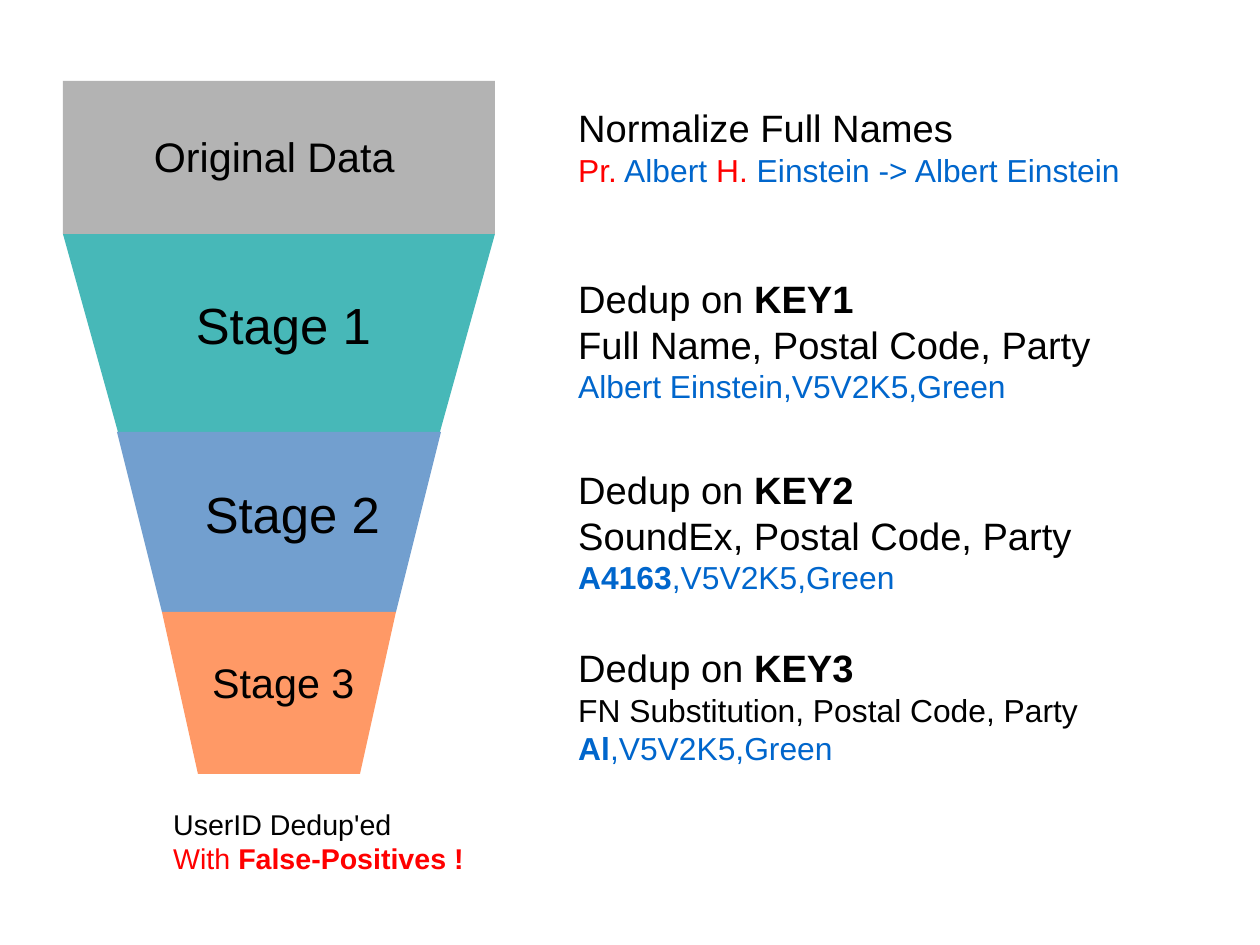
from pptx import Presentation
from pptx.dml.color import RGBColor
from pptx.enum.shapes import MSO_SHAPE
from pptx.enum.text import PP_ALIGN
from pptx.util import Pt

PX = 8000
BLACK, RED, BLUE = "000000", "FF0000", "0066CC"

# left, top, right, bottom left, bottom right, bottom, fill
STAGES = [
    (63, 234, 495, 118, 440, 432, "47B8B8"),
    (117, 432, 441, 162, 396, 612, "729FCF"),
    (162, 612, 396, 198, 360, 774, "FF9966"),
]

# text, left, top, width, height, size
LABELS = [
    ("Original Data", 135, 126, 279, 57, 26),
    ("Stage 1", 162, 288, 243, 69, 32),
    ("Stage 2", 171, 477, 243, 69, 32),
    ("Stage 3", 162, 652, 243, 57, 26),
]


def emu(*lengths):
    return [n * PX for n in lengths]


def paint(target, color):
    """Give a fill or a font one solid colour."""
    if hasattr(target, "solid"):
        target.solid()
        target.fore_color.rgb = RGBColor.from_string(color)
    else:
        target.color.rgb = RGBColor.from_string(color)


def finish(shape, color):
    shape.shadow.inherit = False
    paint(shape.fill, color)
    shape.line.fill.background()


def add_block(slide, box, color):
    finish(slide.shapes.add_shape(MSO_SHAPE.RECTANGLE, *emu(*box)), color)


def add_stage(slide, left, top, right, low_left, low_right, low, color):
    form = slide.shapes.build_freeform(left, top, scale=PX)
    form.add_line_segments([(right, top), (low_right, low), (low_left, low)])
    finish(form.convert_to_shape(), color)


def add_text(slide, box, lines, align=PP_ALIGN.LEFT):
    """Each line is (size, colour, runs); a run is (text, bold, own colour)."""
    frame = slide.shapes.add_textbox(*emu(*box)).text_frame
    frame.word_wrap = True
    for i, (size, color, runs) in enumerate(lines):
        para = frame.add_paragraph() if i else frame.paragraphs[0]
        para.alignment = align
        para.font.name = "Arial"
        para.font.size = Pt(size)
        paint(para.font, color)
        for text, bold, own in runs:
            if text == "\n":
                para.add_line_break()
                continue
            run = para.add_run()
            run.text = text
            if bold:
                run.font.bold = True
            if own:
                paint(run.font, own)


def plain(text, own=None):
    return text, False, own


def strong(text, own=None):
    return text, True, own


def add_key(slide, box, key, size, fields, sample):
    add_text(slide, box, [
        (24, BLACK, [plain("Dedup on "), strong(key)]),
        (size, BLACK, [plain(fields)]),
        (20, BLUE, sample),
    ])


def main():
    deck = Presentation()
    deck.slide_width, deck.slide_height = emu(1260, 945)
    slide = deck.slides.add_slide(deck.slide_layouts[6])

    for stage in STAGES:
        add_stage(slide, *stage)
    add_block(slide, (63, 81, 432, 153), "B3B3B3")
    for text, *box, size in LABELS:
        add_text(slide, box, [(size, BLACK, [plain(text)])], PP_ALIGN.CENTER)

    add_text(slide, (567, 99, 576, 126), [
        (24, BLACK, [plain("Normalize Full Names")]),
        (20, BLUE, [plain("Pr.", RED), plain(" Albert "), plain("H.", RED),
                    plain(" Einstein -> Albert Einstein")]),
    ])
    tail = plain(",V5V2K5,Green")
    add_key(slide, (567, 270, 540, 133), "KEY1", 24,
            "Full Name, Postal Code, Party",
            [plain("Albert Einstein,V5V2K5,Green")])
    add_key(slide, (567, 461, 540, 133), "KEY2", 24,
            "SoundEx, Postal Code, Party", [strong("A4163"), tail])
    add_key(slide, (567, 639, 604, 135), "KEY3", 20,
            "FN Substitution, Postal Code, Party", [strong("Al"), tail])
    add_text(slide, (162, 801, 315, 75), [
        (18, BLACK, [plain("UserID Dedup'ed"), plain("\n"),
                     plain("With ", RED), strong("False-Positives !", RED)]),
    ])
    deck.save("out.pptx")


if __name__ == "__main__":
    main()
